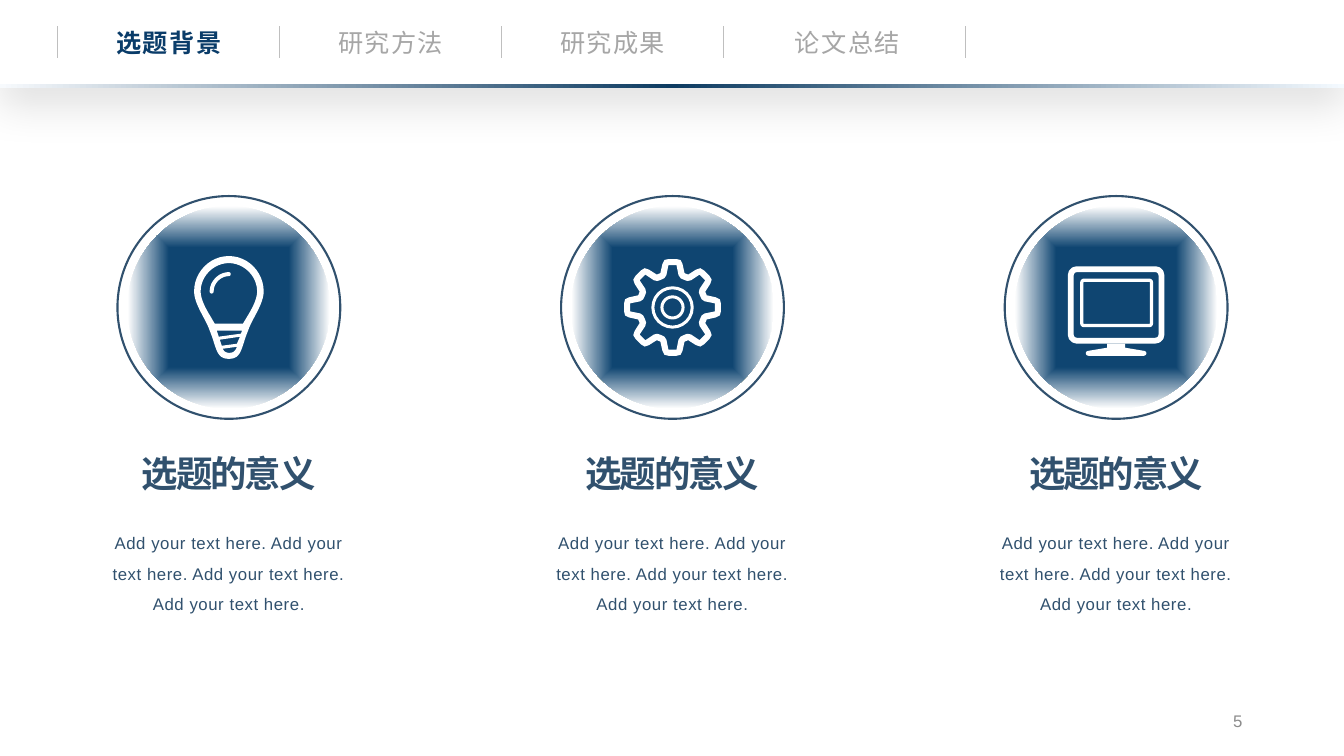
from math import cos, radians, sin

from pptx import Presentation
from pptx.dml.color import RGBColor
from pptx.enum.shapes import MSO_CONNECTOR as Connector, MSO_SHAPE as Preset
from pptx.enum.text import MSO_ANCHOR as Anchor, PP_ALIGN as Align
from pptx.oxml import parse_xml
from pptx.oxml.ns import nsdecls, qn
from pptx.util import Inches, Pt

WHITE = RGBColor(0xFF, 0xFF, 0xFF)
BLACK = RGBColor(0, 0, 0)
NAVY = RGBColor(0x0A, 0x3C, 0x69)
DISC = RGBColor(0x0F, 0x45, 0x71)
SLATE = RGBColor(0x31, 0x51, 0x6E)
BAND = RGBColor(0x0D, 0x3B, 0x61)
BAND_LEFT = RGBColor(0xF7, 0xFA, 0xFD)
BAND_RIGHT = RGBColor(0xF4, 0xFA, 0xFF)
TAB_GREY = RGBColor(0xA6, 0xA6, 0xA6)
RULE_GREY = RGBColor(0xBF, 0xBF, 0xBF)
NUMBER_GREY = RGBColor(0x8C, 0x8C, 0x8C)
LINEAR = '<a:lin ang="0" scaled="0"/>'
FROM_CENTRE = ('<a:path path="shape"><a:fillToRect l="50000" t="50000" '
               'r="50000" b="50000"/></a:path>')


def outline(start, *segments):
    """Points of an outline; a segment of six numbers is a cubic curve."""
    points = [start]
    for segment in segments:
        if len(segment) == 2:
            points.append(segment)
            continue
        x0, y0 = points[-1]
        x1, y1, x2, y2, x3, y3 = segment
        for step in range(1, 13):
            t = step / 12
            u = 1 - t
            a, b, c, d = u**3, 3 * u * u * t, 3 * u * t * t, t**3
            points.append((a * x0 + b * x1 + c * x2 + d * x3,
                           a * y0 + b * y1 + c * y2 + d * y3))
    return points


def gear_outline(half_tooth):
    """Mirror half a tooth and turn it into eight."""
    tooth = [(-x, y) for x, y in half_tooth] + half_tooth[::-1]
    turns = [radians(45 * turn) for turn in range(8)]
    return [(x * cos(a) - y * sin(a), x * sin(a) + y * cos(a))
            for a in turns for x, y in tooth]


class SlideBuilder:
    font = "Arial"

    def __init__(self, slide):
        self.slide = slide
        self.shapes = slide.shapes

    def shape(self, preset, left, top, width, height, fill=None, line=None, weight=1.5):
        shape = self.shapes.add_shape(
            preset, Inches(left), Inches(top), Inches(width), Inches(height))
        return self.paint(shape, fill, line, weight)

    def paint(self, shape, fill, line=None, weight=1.5):
        shape.shadow.inherit = False
        if fill is None:
            shape.fill.background()
        else:
            shape.fill.solid()
            shape.fill.fore_color.rgb = fill
        if line is None:
            shape.line.fill.background()
        else:
            shape.line.color.rgb = line
            shape.line.width = Pt(weight)
        return shape

    def circle(self, x, y, diameter, **style):
        corner = diameter / 2
        return self.shape(Preset.OVAL, x - corner, y - corner, diameter, diameter, **style)

    def rounded(self, left, top, width, height, radius, weight):
        shape = self.shape(Preset.ROUNDED_RECTANGLE, left, top, width, height,
                           line=WHITE, weight=weight)
        shape.adjustments[0] = radius / min(width, height)

    def gradient(self, shape, stops, direction):
        stop_xml = "".join(
            f'<a:gs pos="{position * 1000}"><a:srgbClr val="{colour}"/></a:gs>'
            for position, colour in stops)
        gradient = parse_xml(f'<a:gradFill {nsdecls("a")} rotWithShape="1"><a:gsLst>'
                             f'{stop_xml}</a:gsLst>{direction}</a:gradFill>')
        solid = shape.element.spPr.find(qn("a:solidFill"))
        solid.getparent().replace(solid, gradient)

    def soft_shadow(self, shape, colour, opacity, blur, distance):
        effects = shape.element.spPr.find(qn("a:effectLst"))
        effects.append(parse_xml(
            f'<a:outerShdw {nsdecls("a")} blurRad="{Pt(blur)}" dist="{Pt(distance)}" '
            f'dir="5400000" algn="t" rotWithShape="0"><a:srgbClr val="{colour}">'
            f'<a:alpha val="{opacity * 1000}"/></a:srgbClr></a:outerShdw>'))

    def freeform(self, x, y, *outlines):
        builder = None
        for points in outlines:
            placed = [(Inches(x + dx), Inches(y + dy)) for dx, dy in points]
            if builder is None:
                builder = self.shapes.build_freeform(*placed[0])
            else:
                builder.move_to(*placed[0])
            builder.add_line_segments(placed[1:], close=True)
        return self.paint(builder.convert_to_shape(), WHITE)

    def line(self, x, top, bottom, colour, weight):
        line = self.shapes.add_connector(
            Connector.STRAIGHT, Inches(x), Inches(top), Inches(x), Inches(bottom))
        line.line.color.rgb = colour
        line.line.width = Pt(weight)
        line.element.spPr.append(parse_xml(f'<a:effectLst {nsdecls("a")}/>'))

    def text(self, text, left, top, width, height, size, colour, bold=False, spacing=0,
             align=Align.CENTER, anchor=Anchor.TOP, line_spacing=1.0, wrap=True, box=None):
        if box is None:
            box = self.shapes.add_textbox(0, 0, 0, 0)
        box.left, box.top = Inches(left), Inches(top)
        box.width, box.height = Inches(width), Inches(height)
        frame = box.text_frame
        frame.text = text
        frame.word_wrap = wrap
        frame.vertical_anchor = anchor
        paragraph = frame.paragraphs[0]
        paragraph.alignment = align
        paragraph.line_spacing = line_spacing
        font = paragraph.runs[0].font
        font.name, font.size, font.bold = self.font, Pt(size), bold
        font.color.rgb = colour
        if spacing:
            for properties in box.element.iter(qn("a:rPr")):
                properties.set("spc", str(int(spacing * 100)))

    def bulb(self, x, y):
        body = outline((0, -.51), (-.19, -.51, -.345, -.35, -.345, -.16),
                       (-.345, -.03, -.23, .11, -.19, .23), (-.12, .4, -.13, .51, 0, .51),
                       (.13, .51, .12, .4, .19, .23), (.23, .11, .345, -.03, .345, -.16),
                       (.345, -.35, .19, -.51, 0, -.51))
        glass = outline((.14, .16), (-.14, .16), (-.16, .13, -.18, .09, -.2, .06),
                        (-.24, -.01, -.28, -.09, -.28, -.16), (-.28, -.31, -.15, -.44, 0, -.44),
                        (.15, -.44, .28, -.31, .28, -.16), (.28, -.09, .24, -.01, .2, .06))
        threads = [[(-.1, .29), (-.12, .23), (.13, .23), (.12, .26)],
                   [(.08, .36), (-.07, .38), (-.09, .32), (.11, .29)],
                   outline((-.06, .41), (.08, .39), (.06, .44, .04, .45, 0, .45),
                           (-.02, .45, -.05, .44, -.06, .41))]
        glint = outline((0, -.35), (-.1, -.35, -.19, -.26, -.19, -.16),
                        (-.19, -.13, -.15, -.13, -.15, -.16), (-.15, -.24, -.08, -.31, 0, -.31),
                        (.025, -.31, .025, -.35, 0, -.35))
        self.freeform(x, y, body, glass, *threads)
        self.freeform(x, y, glint)

    def gear(self, x, y):
        self.freeform(x, y,
                      gear_outline([(.12, -.34), (.1, -.43), (.08, -.47), (.04, -.48)]),
                      gear_outline([(.1, -.28), (.08, -.29), (.06, -.32), (.04, -.42)]))
        for diameter in (.39, .21):
            self.circle(x, y, diameter, line=WHITE, weight=2.16)

    def monitor(self, x, y):
        self.rounded(x - .45, y - .38, .9, .71, .06, 4.1)
        self.rounded(x - .34, y - .27, .69, .45, .02, 2.3)
        self.freeform(x, y, outline(
            (-.09, .36), (.09, .36), (.09, .4), (.27, .43), (.31, .43, .31, .48, .27, .48),
            (-.27, .48), (-.31, .48, -.31, .43, -.27, .43), (-.09, .4)))


def main():
    presentation = Presentation()
    presentation.slide_width, presentation.slide_height = Inches(13.33), Inches(7.5)
    slide = presentation.slides.add_slide(presentation.slide_layouts[5])
    builder = SlideBuilder(slide)

    # Slide number
    builder.text("5", 9.42, 6.95, 3, .4, 12, NUMBER_GREY, align=Align.RIGHT, anchor=Anchor.MIDDLE)

    # Three columns: icon, heading, description
    middle = 3.05
    for column, icon in enumerate((builder.bulb, builder.gear, builder.monitor)):
        centre = 2.27 + 4.4 * column
        disc = builder.circle(centre, middle, 2.01, fill=DISC)
        builder.gradient(disc, [(59, DISC), (100, WHITE)], FROM_CENTRE)
        icon(centre, middle)
        builder.circle(centre, middle, 2.21, line=SLATE)
        builder.text("选题的意义", centre - 1.4, 4.43, 2.8, .54, 26, SLATE, bold=True, spacing=-1.5)
        builder.text(" ".join(["Add your text here."] * 4), centre - 1.4, 5.14, 2.8, 1.01,
                     12, SLATE, spacing=.4, line_spacing=1.5)

    # Header with navigation; the current section is the title
    header = builder.shape(Preset.RECTANGLE, 0, 0, 13.33, .86, fill=WHITE)
    builder.soft_shadow(header, BLACK, opacity=11, blur=28, distance=15)
    title = slide.shapes.title
    header.element.addnext(title.element)
    for x in (.57, 2.77, 4.97, 7.17, 9.57):
        builder.line(x, .26, .58, RULE_GREY, .5)
    tabs = [("选题背景", 1.67), ("研究方法", 3.87), ("研究成果", 6.07), ("论文总结", 8.4)]
    for position, (label, centre) in enumerate(tabs):
        current = position == 0
        builder.text(label, centre - .63, .22, 1.27, .4, 18, NAVY if current else TAB_GREY,
                     bold=current, spacing=1, wrap=False, box=title if current else None)
    band = builder.shape(Preset.RECTANGLE, 0, .83, 13.33, .04, fill=BAND)
    builder.gradient(band, [(0, BAND_LEFT), (50, BAND), (100, BAND_RIGHT)], LINEAR)

    presentation.save("out.pptx")


if __name__ == "__main__":
    main()
